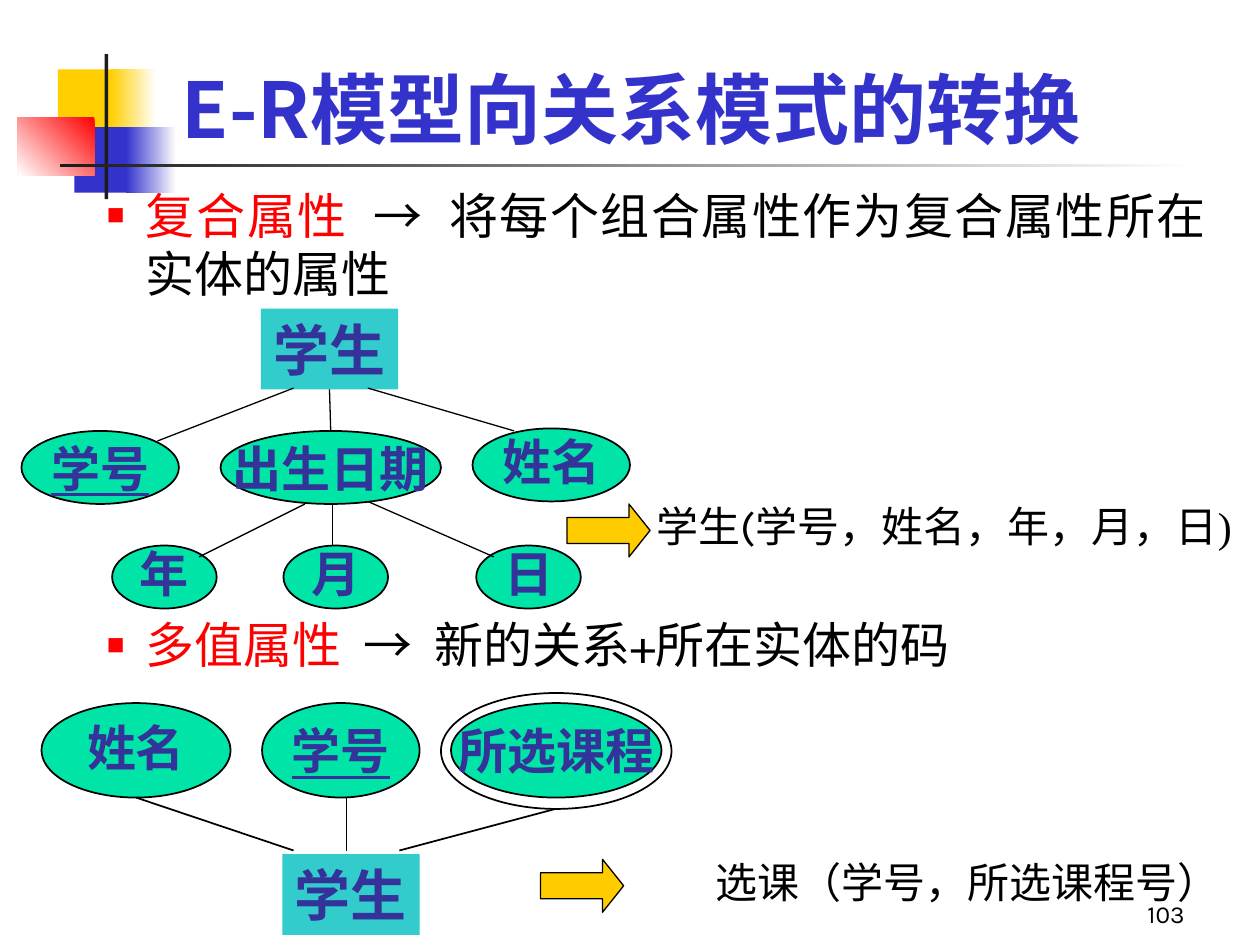
from dataclasses import dataclass

from lxml.etree import SubElement
from pptx import Presentation
from pptx.dml.color import RGBColor
from pptx.enum.shapes import MSO_CONNECTOR as Link, MSO_SHAPE as Kind
from pptx.enum.text import MSO_ANCHOR as Anchor, PP_ALIGN as Align
from pptx.oxml.ns import qn
from pptx.util import Inches, Pt


@dataclass(frozen=True)
class Theme:
    yellow: str = "FFCF01"
    blue: str = "3333CC"
    red: str = "FF0000"
    dark: str = "1C1C1C"
    white: str = "FFFFFF"
    black: str = "000000"
    entity: str = "33CCCC"
    attribute: str = "00E4A8"
    label: str = "333399"
    arrow: str = "FFCC00"
    cjk: str = "Noto Sans CJK SC"
    sans: str = "Karla"
    serif: str = "Times New Roman"
    symbol: str = "Arial"
    title: int = 44
    entity_size: int = 32
    body: int = 28
    note: int = 24
    number: int = 14


THEME = Theme()


def color(code):
    return RGBColor.from_string(code)


def add_span(para, text, size, font, ink, bold=False, underline=False):
    span = para.add_run()
    span.text = text
    span.font.size, span.font.name = Pt(size), font
    span.font.bold, span.font.underline = bold, underline
    span.font.color.rgb = color(ink)
    SubElement(span.font._element, qn("a:ea"), typeface=THEME.cjk)


def add_shape(page, kind, box, fill=None, line=None, width=1):
    shape = page.shapes.add_shape(kind, *map(Inches, box))
    shape.shadow.inherit = False
    if fill is None:
        shape.fill.background()
    elif isinstance(fill, tuple):
        start, end, angle = fill
        shape.fill.gradient()
        shape.fill.gradient_angle = angle
        for stop, code in zip(shape.fill.gradient_stops, (start, end)):
            stop.color.rgb = color(code)
    else:
        shape.fill.solid()
        shape.fill.fore_color.rgb = color(fill)
    if line:
        shape.line.color.rgb = color(line)
        shape.line.width = Pt(width)
    else:
        shape.line.fill.background()
    return shape


def add_line(page, start, end, width):
    line = page.shapes.add_connector(Link.STRAIGHT, *map(Inches, (*start, *end)))
    line.line.color.rgb = color(THEME.black)
    line.line.width = Pt(width)
    SubElement(line._element.spPr, qn("a:effectLst"))
    return line


def add_text(page, box, spans, align=Align.LEFT, anchor=Anchor.TOP, before=0):
    frame = page.shapes.add_textbox(*map(Inches, box)).text_frame
    frame.word_wrap = True
    frame.vertical_anchor = anchor
    para = frame.paragraphs[0]
    para.alignment = align
    para.space_before = Pt(before)
    for span in spans:
        add_span(para, *span)
    return para


def hang(para):
    props = para._p.get_or_add_pPr()
    props.set("marL", str(Inches(0.81)))
    props.set("indent", str(Inches(-0.31)))
    return props


def add_label(shape, text, size, before, spacing=None, underline=False):
    frame = shape.text_frame
    frame.word_wrap = False
    frame.vertical_anchor = Anchor.MIDDLE
    frame.margin_left = frame.margin_right = Inches(0.1)
    frame.margin_top = frame.margin_bottom = Inches(0.05)
    para = frame.paragraphs[0]
    para.alignment = Align.CENTER
    para.space_before = Pt(before)
    if spacing:
        para.line_spacing = spacing
    add_span(para, text, size, THEME.serif, THEME.label, True, underline)


def add_entity(page, left, top):
    shape = add_shape(page, Kind.RECTANGLE, (left, top, 1.09, 0.64), THEME.entity)
    add_label(shape, "学生", THEME.entity_size, 20)
    return shape


def add_attribute(page, box, text, tight=False, key=False):
    shape = add_shape(page, Kind.OVAL, box, THEME.attribute, THEME.black)
    before, spacing = (7, 0.9) if tight else (17.5, None)
    add_label(shape, text, THEME.body, before, spacing, key)
    return shape


def add_ornament(page, left, top):
    """Coloured squares and the crossed rules behind the title."""
    t = THEME
    for x, y, width, height, fill in (
        (0.32, 0.12, 0.48, 0.52, t.yellow),
        (0.74, 0.12, 0.36, 0.52, (t.white, t.yellow, 180)),
        (0.45, 0.58, 0.46, 0.52, t.blue),
        (0.86, 0.58, 0.4, 0.52, (t.white, t.blue, 180)),
        (0, 0.5, 0.61, 0.46, (t.red, t.white, 225)),
        (0.69, 0, 0.03, 1.15, t.dark),
        (0.34, 0.87, 9, 0.03, (t.white, t.dark, 180)),
    ):
        add_shape(page, Kind.RECTANGLE, (left + x, top + y, width, height), fill)


def add_bullet(page, box, term, meaning):
    t = THEME
    spans = [(term + "  ", t.body, t.sans, t.red),
             ("→", t.body, t.symbol, t.black),
             ("  " + meaning, t.body, t.sans, t.black)]
    props = hang(add_text(page, box, spans, Align.JUSTIFY, before=7))
    tint = SubElement(props, qn("a:buClr"))
    SubElement(tint, qn("a:srgbClr"), val=t.red)
    SubElement(props, qn("a:buSzPct"), val="60000")
    SubElement(props, qn("a:buFont"), typeface=t.symbol)
    SubElement(props, qn("a:buChar"), char="■")


def add_result(page, arrow_at, box, head, rest, align):
    """Block arrow and the relation it leads to."""
    t = THEME
    spans = [(head, t.note, t.sans, t.black), (rest, t.note, t.serif, t.black)]
    hang(add_text(page, box, spans, align, before=6))
    arrow = add_shape(page, Kind.RIGHT_ARROW, (*arrow_at, 0.66, 0.42),
                      t.arrow, t.black, 0.75)
    arrow.adjustments[0], arrow.adjustments[1] = 0.492, 0.399


def add_composite_diagram(page, left, top):
    entity = add_entity(page, left + 1.9, top)
    add_attribute(page, (left + 3.58, top + 0.95, 1.25, 0.58), "姓名", tight=True)
    add_attribute(page, (left, top + 0.97, 1.25, 0.58), "学号", key=True)
    birth = add_attribute(page, (left + 1.58, top + 0.97, 1.75, 0.58), "出生日期")
    for x, part in ((0.72, "年"), (2.08, "月"), (3.61, "日")):
        add_attribute(page, (left + x, top + 1.88, 0.83, 0.5), part, tight=True)
    trunk = add_line(page, (left + 2.47, top + 0.64), (left + 2.47, top + 0.97), 0.75)
    trunk.begin_connect(entity, 2)
    trunk.end_connect(birth, 0)
    for x1, y1, x2, y2 in (
        (2.16, 0.63, 1.08, 1.05), (2.75, 0.63, 3.91, 0.97),
        (2.47, 1.55, 2.47, 1.88), (2.25, 1.55, 1.41, 1.97),
        (2.75, 1.53, 3.75, 1.97),
    ):
        add_line(page, (left + x1, top + y1), (left + x2, top + y2), 0.75)


def add_multivalue_diagram(page, left, top):
    add_entity(page, left + 1.91, top + 1.28)
    for x, width, text, tight, key in (
        (0, 1.5, "姓名", True, False),
        (1.75, 1.25, "学号", False, True),
        (3.25, 1.67, "所选课程", False, False),
    ):
        add_attribute(page, (left + x, top + 0.08, width, 0.75), text, tight, key)
    for x1, x2, y2 in ((2, 0.75, 0.83), (2.42, 2.42, 0.83), (2.84, 4.08, 0.92)):
        add_line(page, (left + x1, top + 1.25), (left + x2, top + y2), 1)
    # Second outline marks the multivalued attribute
    add_shape(page, Kind.OVAL, (left + 3.17, top, 1.83, 0.92), line=THEME.black)


def main():
    t = THEME
    deck = Presentation()
    deck.slide_width, deck.slide_height = Inches(10), Inches(7.5)
    page = deck.slides.add_slide(deck.slide_layouts[6])

    # Heading and page number
    add_ornament(page, 0.14, 0.43)
    add_text(page, (7.42, 6.92, 2.08, 0.5),
             [("103", t.number, t.sans, t.black)], Align.RIGHT, Anchor.BOTTOM)
    add_text(page, (0.75, 0.25, 8.52, 1.02),
             [("E-R模型向关系模式的转换", t.title, t.cjk, t.blue, True)],
             Align.CENTER, Anchor.BOTTOM)

    # Composite attributes
    add_bullet(page, (0.25, 1.42, 9.42, 1), "复合属性",
               "将每个组合属性作为复合属性所在实体的属性")
    add_composite_diagram(page, 0.17, 2.45)
    add_result(page, (4.5, 4), (4.58, 3.92, 5.33, 0.58),
               "学生(", "学号，姓名，年，月，日)", Align.CENTER)

    # Multivalued attributes
    add_bullet(page, (0.25, 4.83, 9.42, 0.58), "多值属性", "新的关系+所在实体的码")
    add_multivalue_diagram(page, 0.33, 5.5)
    add_result(page, (4.29, 6.82), (5.08, 6.75, 4.92, 0.5),
               "选课（", "学号，所选课程号）", Align.LEFT)

    deck.save("out.pptx")


if __name__ == "__main__":
    main()
